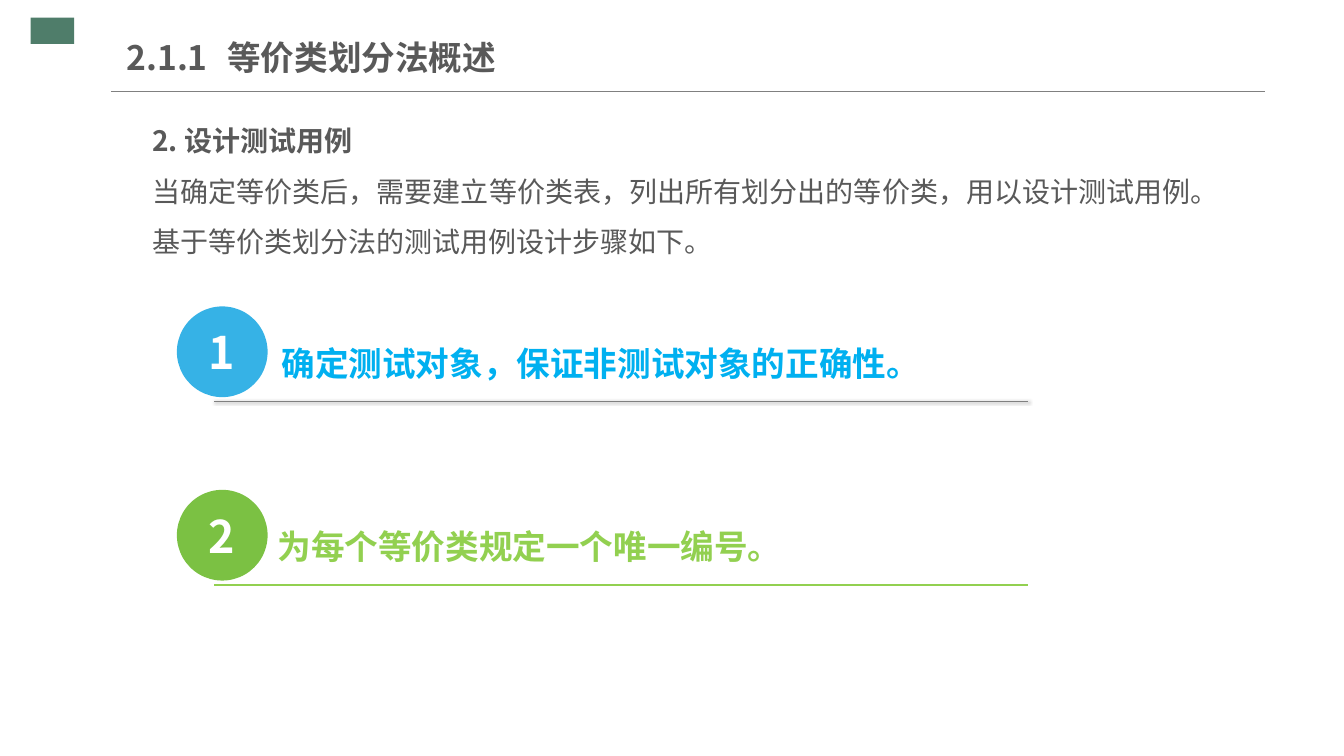
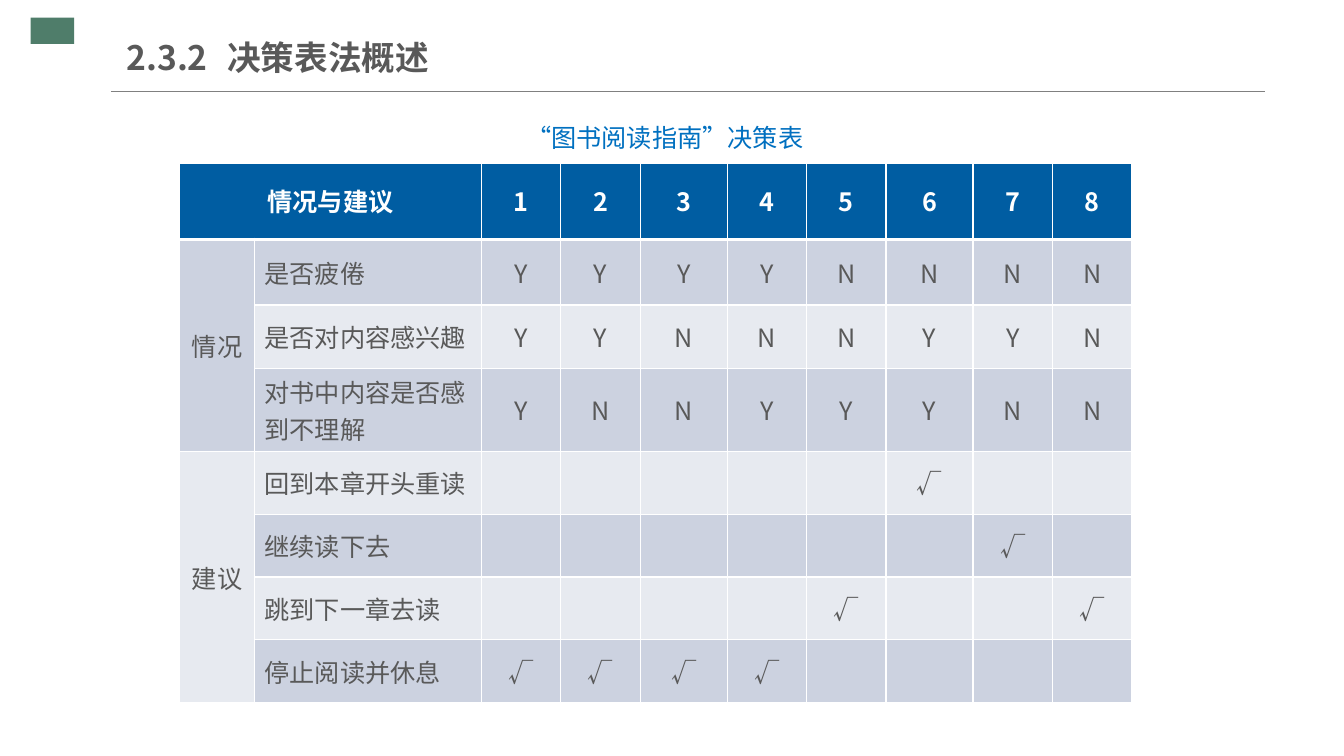
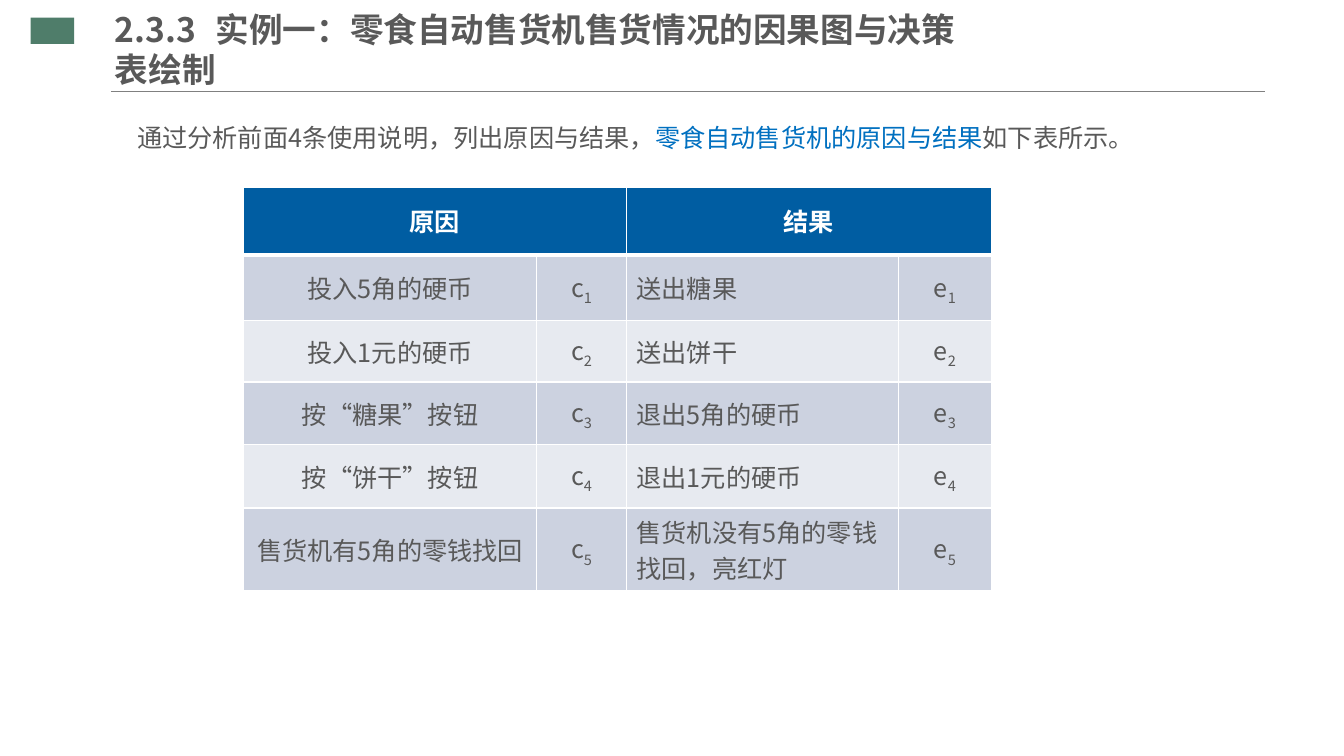
from pptx import Presentation
from pptx import util as u
from pptx.dml.color import RGBColor
from pptx.enum import shapes, text
from pptx.oxml.ns import qn
from lxml import etree

COLUMNS, ROWS = 160, 90
WIDTH, HEIGHT = u.Inches(40 / 3), u.Inches(7.5)
SANS, SERIF = "Noto Sans CJK SC", "Times New Roman"
INK, WHITE, BLUE = "595959", "FFFFFF", "0070C0"
HEADER, BANDS = "005DA2", ("E7EAF0", "CCD2E0")
BODY_INSETS = (0.13, 0.07)
TITLE_INSETS = (0, 0.07)
PLAIN_INSETS = (0.1, 0.05)
LEFT, CENTER, JUSTIFY = text.PP_ALIGN.LEFT, text.PP_ALIGN.CENTER, text.PP_ALIGN.JUSTIFY
TOP, MIDDLE = text.MSO_ANCHOR.TOP, text.MSO_ANCHOR.MIDDLE


def color(value):
    return RGBColor.from_string(value)


def across(columns):
    return round(WIDTH * columns / COLUMNS)


def down(rows):
    return round(HEIGHT * rows / ROWS)


def place(left, top, width, height):
    return across(left), down(top), across(width), down(height)


def child(parent, tag, **attributes):
    return etree.SubElement(parent, qn(tag), attributes)


def write(para, spans, size, ink=INK, bold=False, align=LEFT, spacing=None, face=SANS):
    para.alignment = align
    if spacing:
        para.line_spacing = spacing
    font = para.font
    font.size, font.bold, font.name = u.Pt(size), bold, face
    font.color.rgb = color(ink)
    child(para._p.pPr.find(qn("a:defRPr")), "a:ea", typeface=SANS)
    for content, accent, subscript in spans:
        span = para.add_run()
        span.text = content
        if accent:
            span.font.color.rgb = color(accent)
        if subscript:
            span._r.get_or_add_rPr().set("baseline", "-25000")


def plain(content):
    return [(content, None, False)]


def set_frame(frame, insets, anchor=TOP):
    frame.word_wrap = True
    frame.margin_left = frame.margin_right = u.Inches(insets[0])
    frame.margin_top = frame.margin_bottom = u.Inches(insets[1])
    frame.vertical_anchor = anchor


def add_text(page, area, paragraphs, insets=BODY_INSETS, anchor=TOP, grow=False, **style):
    frame = page.shapes.add_textbox(*place(*area)).text_frame
    set_frame(frame, insets, anchor)
    if grow:
        frame.auto_size = text.MSO_AUTO_SIZE.SHAPE_TO_FIT_TEXT
    for index, (spans, bold) in enumerate(paragraphs):
        para = frame.add_paragraph() if index else frame.paragraphs[0]
        write(para, spans, bold=bold, **style)


def add_block(page, kind, area, fill):
    block = page.shapes.add_shape(kind, *place(*area))
    block.shadow.inherit = False
    block.fill.solid()
    block.fill.fore_color.rgb = color(fill)
    block.line.fill.background()
    return block


def add_rule(page, left, right, row, ink, width, shadow=False):
    rule = page.shapes.add_connector(
        shapes.MSO_CONNECTOR.STRAIGHT, across(left), down(row), across(right), down(row))
    rule.line.color.rgb = color(ink)
    rule.line.width = u.Pt(width)
    effects = child(rule._element.spPr, "a:effectLst")
    if shadow:
        cast = child(effects, "a:outerShdw", blurRad=str(u.Pt(2)), dist=str(u.Pt(1)),
                     dir="2700000", algn="tl", rotWithShape="0")
        child(child(cast, "a:srgbClr", val="000000"), "a:alpha", val="40000")


def add_page(deck, title, area=(15.06, 3.48, 51.12, 6.6)):
    page = deck.slides.add_slide(deck.slide_layouts[6])
    add_block(page, shapes.MSO_SHAPE.RECTANGLE, (3.66, 2.1, 5.16, 3.12), "4F7D6A")
    add_rule(page, 13.2, 150.54, 10.92, "808080", 0.75)
    add_text(page, area, [(plain(title), True)], TITLE_INSETS, MIDDLE, size=24)
    return page


def set_borders(cell, top, bottom):
    properties = cell._tc.get_or_add_tcPr()
    for side, width in (("L", 1), ("R", 1), ("T", top), ("B", bottom)):
        line = child(properties, f"a:ln{side}", w=str(u.Pt(width)))
        child(child(line, "a:solidFill"), "a:srgbClr", val=WHITE)


def add_grid(page, left, top, widths, heights, content, merges, left_column):
    area = place(left, top, sum(widths), sum(heights))
    table = page.shapes.add_table(len(heights), len(widths), *area).table
    for column, width in zip(table.columns, widths):
        column.width = across(width)
    for row, height in zip(table.rows, heights):
        row.height = down(height)
    for r, values in enumerate(content):
        for c, spans in enumerate(values):
            cell = table.cell(r, c)
            set_borders(cell, 3 if r == 1 else 1, 1 if r else 3)
            cell.fill.solid()
            cell.fill.fore_color.rgb = color(BANDS[r % 2] if r else HEADER)
            cell.vertical_anchor = MIDDLE
            if not spans:
                continue
            para = cell.text_frame.paragraphs[0]
            if r:
                write(para, spans, 18, align=LEFT if c == left_column else CENTER)
            else:
                write(para, spans, 18, WHITE, True, CENTER, 0.9)
    for r1, c1, r2, c2 in merges:
        table.cell(r1, c1).merge(table.cell(r2, c2))


def add_step(page, index, content, fill, ink, left, face, rule):
    offset = index * 21.84
    badge = add_block(page, shapes.MSO_SHAPE.FLOWCHART_CONNECTOR,
                      (21.06, 36.48 + offset, 10.8, 10.8), fill)
    set_frame(badge.text_frame, PLAIN_INSETS, MIDDLE)
    write(badge.text_frame.paragraphs[0], plain(str(index + 1)), 32, WHITE, True, CENTER)
    add_rule(page, 25.5, 122.4, 47.76 + offset, *rule)
    add_text(page, (left, 40.2 + offset, 92, 6), [(plain(content), True)],
             PLAIN_INSETS, grow=True, size=24, ink=ink, face=face)


def build_steps(deck):
    page = add_page(deck, "2.1.1\t等价类划分法概述")
    add_text(page, (16.56, 11.9, 126.84, 19.8), [
        (plain("2. 设计测试用例"), True),
        (plain("当确定等价类后，需要建立等价类表，列出所有划分出的等价类，用以设计测试用例。"
               "基于等价类划分法的测试用例设计步骤如下。"), False),
    ], grow=True, size=20, align=JUSTIFY, spacing=1.5)
    steps = [
        ("确定测试对象，保证非测试对象的正确性。", "36B2E6", "00B0F0", 32.34, SERIF,
         ("808080", 0.75, True)),
        ("为每个等价类规定一个唯一编号。", "7BC143", "92D050", 31.86, SANS,
         ("92D050", 1.5)),
    ]
    for index, step in enumerate(steps):
        add_step(page, index, *step)


def build_decisions(deck):
    page = add_page(deck, "2.3.2\t决策表法概述")
    add_text(page, (61.08, 11.88, 38.4, 7.56), [(plain("“图书阅读指南”决策表"), False)],
             size=18, ink=BLUE, align=JUSTIFY, spacing=1.5)
    rules = [
        ("情况与建议", "", "12345678"),
        ("情况", "是否疲倦", "YYYYNNNN"),
        ("", "是否对内容感兴趣", "YYNNNYYN"),
        ("", "对书中内容是否感到不理解", "YNNYYYNN"),
        ("建议", "回到本章开头重读", "-----√--"),
        ("", "继续读下去", "------√-"),
        ("", "跳到下一章去读", "----√--√"),
        ("", "停止阅读并休息", "√√√√----"),
    ]
    content = [[plain(value) if value.strip("-") else None for value in (group, name, *marks)]
               for group, name, marks in rules]
    widths = [8.9, 27] + [9.46, 9.46, 10.36] * 2 + [9.46] * 2
    heights = [9, 7.8, 7.56, 9.88] + [7.48] * 4
    add_grid(page, 21.4, 19.5, widths, heights, content,
             [(0, 0, 0, 1), (1, 0, 3, 0), (4, 0, 7, 0)], 1)


def build_causes(deck):
    page = add_page(deck, "2.3.3\t实例一：零食自动售货机售货情况的因果图与决策表绘制",
                    (13.68, 2.52, 101.88, 6.6))
    intro = [("通过分析前面4条使用说明，列出原因与结果，", None, False),
             ("零食自动售货机的原因与结果", BLUE, False),
             ("如下表所示。", None, False)]
    add_text(page, (14.76, 11.88, 127.44, 7.92), [(intro, False)],
             size=18, align=JUSTIFY, spacing=1.5)
    pairs = [
        ("投入5角的硬币", "送出糖果"),
        ("投入1元的硬币", "送出饼干"),
        ("按“糖果”按钮", "退出5角的硬币"),
        ("按“饼干”按钮", "退出1元的硬币"),
        ("售货机有5角的零钱找回", "售货机没有5角的零钱找回，亮红灯"),
    ]
    content = [[plain("原因"), None, plain("结果"), None]]
    for number, (cause, effect) in enumerate(pairs, 1):
        index = (str(number), None, True)
        content.append([plain(cause), plain("c") + [index], plain(effect), plain("e") + [index]])
    add_grid(page, 28.98, 22.32, [34.92, 10.68, 32.4, 11.04],
             [8.04, 7.8, 7.32, 7.44, 7.56, 9.88], content,
             [(0, 0, 0, 1), (0, 2, 0, 3)], 2)


def main():
    deck = Presentation()
    deck.slide_width, deck.slide_height = WIDTH, HEIGHT
    build_steps(deck)
    build_decisions(deck)
    build_causes(deck)
    deck.save("out.pptx")


if __name__ == "__main__":
    main()
